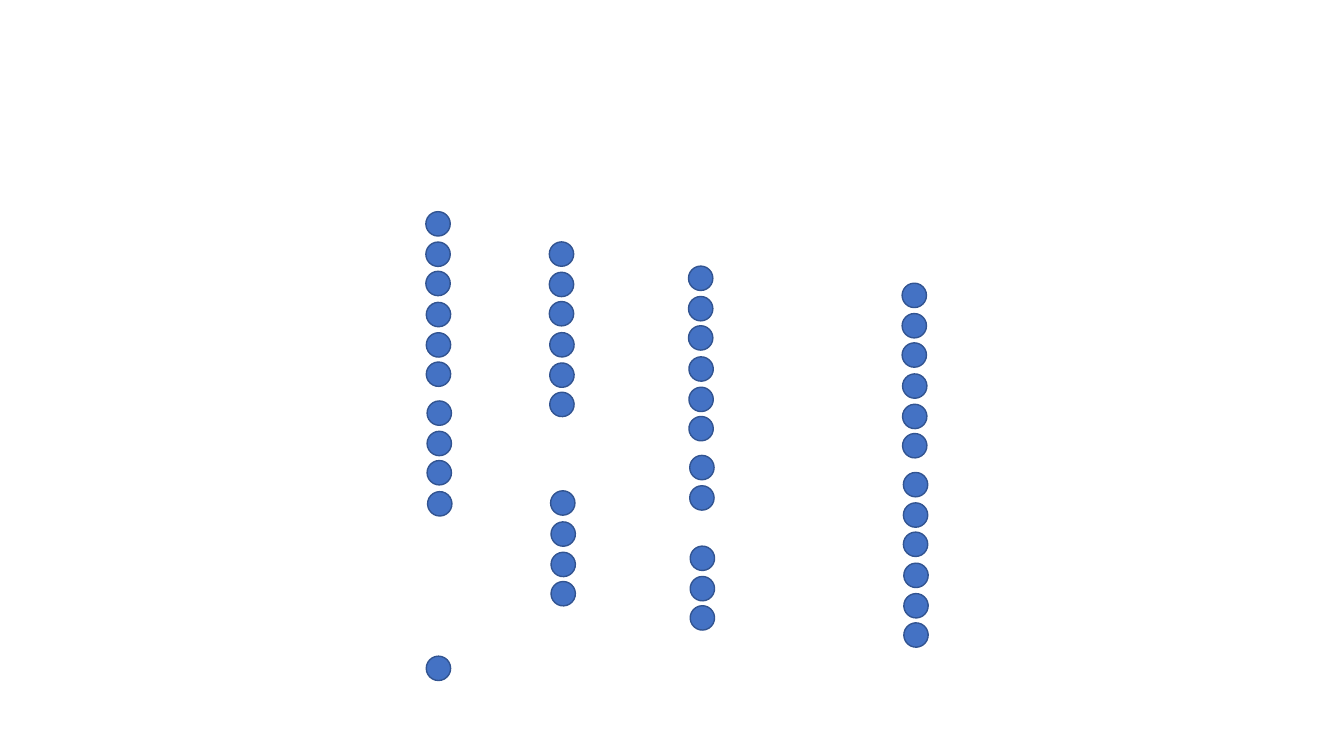
from pptx import Presentation
from pptx.dml.color import RGBColor
from pptx.enum.shapes import MSO_SHAPE
from pptx.util import Pt

BLUE = RGBColor(0x44, 0x72, 0xC4)
NAVY = RGBColor(0x32, 0x54, 0x91)

SIZE = 17.4    # dot diameter
STEPS = (0, 21.7, 42.6)    # dots within a group of three
GROUP = 64.8   # from one group of three to the next
HALF = 135.2   # from the upper six slots to the lower six
TURN = 102.2   # rotation of every second group

# Left, top and filled slots (of twelve) for each column
COLUMNS = [
    (304.2, 151.2, range(10)),
    (392.4, 172.8, [*range(6), *range(8, 12)]),
    (491.8, 190.1, [*range(8), *range(9, 12)]),
    (644.4, 202.3, range(12)),
]
LONE = (304.5, 468.7)


def add_dot(slide, left, top, turn=0):
    dot = slide.shapes.add_shape(
        MSO_SHAPE.OVAL, Pt(left), Pt(top), Pt(SIZE), Pt(SIZE))
    dot.shadow.inherit = False
    dot.fill.solid()
    dot.fill.fore_color.rgb = BLUE
    dot.line.color.rgb = NAVY
    dot.line.width = Pt(1)
    dot.rotation = turn


def add_column(slide, left, top, slots):
    for slot in slots:
        half, place = divmod(slot, 6)
        group, step = divmod(place, 3)
        # The lower half sits slightly to the right
        add_dot(slide, left + 0.9 * half + 0.3 * group,
                top + HALF * half + GROUP * group + STEPS[step],
                TURN * group)


def main():
    deck = Presentation()
    deck.slide_width, deck.slide_height = Pt(960), Pt(540)
    slide = deck.slides.add_slide(deck.slide_layouts[6])

    # Four columns of dots
    for left, top, slots in COLUMNS:
        add_column(slide, left, top, slots)

    # Single dot under the first column
    add_dot(slide, *LONE)
    deck.save("out.pptx")


if __name__ == "__main__":
    main()
